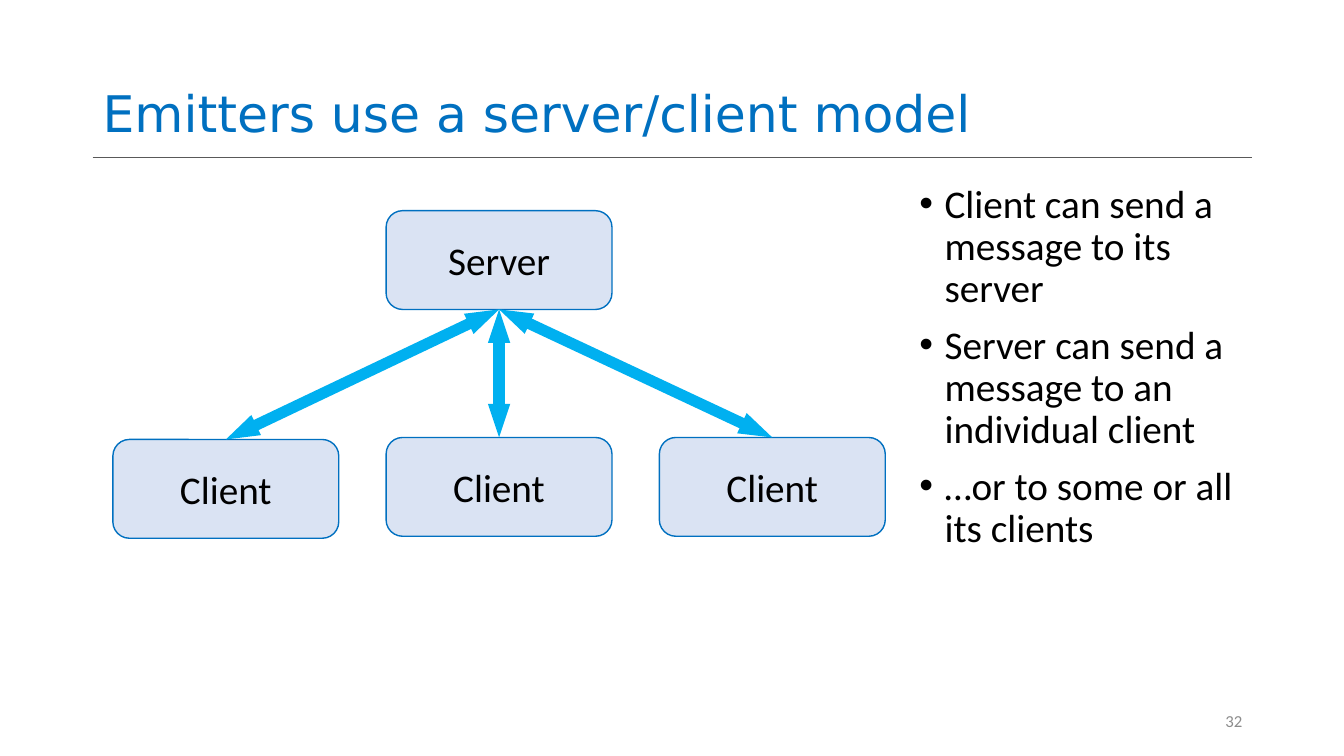
from lxml import etree
from pptx import Presentation
from pptx.dml.color import RGBColor
from pptx.enum.shapes import MSO_CONNECTOR, MSO_SHAPE
from pptx.enum.text import MSO_ANCHOR, PP_ALIGN
from pptx.oxml.ns import qn
from pptx.util import Inches, Pt

STRAIGHT = MSO_CONNECTOR.STRAIGHT
ROUNDED = MSO_SHAPE.ROUNDED_RECTANGLE
TOP, MIDDLE, BOTTOM = MSO_ANCHOR.TOP, MSO_ANCHOR.MIDDLE, MSO_ANCHOR.BOTTOM
LEFT, CENTER, RIGHT = PP_ALIGN.LEFT, PP_ALIGN.CENTER, PP_ALIGN.RIGHT

BLACK = RGBColor(0x00, 0x00, 0x00)
BLUE = RGBColor(0x00, 0x70, 0xC0)
SKY = RGBColor(0x00, 0xB0, 0xF0)
PALE = RGBColor(0xDA, 0xE3, 0xF3)
GRAY = RGBColor(0x8C, 0x8C, 0x8C)
RULE = RGBColor(0x59, 0x59, 0x59)

BOX_W, BOX_H = 2.24, 0.98


class Deck:
    """Holds the style and the current slide, and draws each kind of element."""

    font = "Calibri"
    size = 28

    def __init__(self, slide):
        self.s = slide

    def run(self, p, text, size=None, color=BLACK, font=None):
        r = p.add_run()
        r.text = text
        r.font.size = Pt(size or self.size)
        r.font.name = font or self.font
        r.font.color.rgb = color

    def text(self, box, lines, anchor=TOP, align=LEFT, spacing=None,
             bullet=False, **style):
        sp = self.s.shapes.add_textbox(*map(Inches, box))
        tf = sp.text_frame
        tf.word_wrap = True
        tf.vertical_anchor = anchor
        for i, line in enumerate(lines):
            p = tf.add_paragraph() if i else tf.paragraphs[0]
            p.alignment = align
            p.line_spacing = spacing
            if bullet:
                self.bullet(p)
            self.run(p, line, **style)

    def bullet(self, p):
        p.space_before = Pt(10)
        pPr = p._p.get_or_add_pPr()
        pPr.set("marL", str(Inches(0.25)))
        pPr.set("indent", str(Inches(-0.25)))
        etree.SubElement(pPr, qn("a:buFont")).set("typeface", "Arial")
        etree.SubElement(pPr, qn("a:buChar")).set("char", "•")

    def node(self, x, y, label):
        sp = self.s.shapes.add_shape(
            ROUNDED, *map(Inches, (x, y, BOX_W, BOX_H)))
        sp.shadow.inherit = False
        sp.fill.solid()
        sp.fill.fore_color.rgb = PALE
        sp.line.color.rgb = BLUE
        sp.line.width = Pt(1)
        tf = sp.text_frame
        tf.vertical_anchor = MIDDLE
        p = tf.paragraphs[0]
        p.alignment = CENTER
        self.run(p, label)

    def line(self, start, end, color, width, arrows=False):
        c = self.s.shapes.add_connector(
            STRAIGHT, *map(Inches, (*start, *end)))
        c.line.color.rgb = color
        c.line.width = Pt(width)
        spPr = c._element.spPr
        if arrows:
            ln = spPr.find(qn("a:ln"))
            for tag in ("a:headEnd", "a:tailEnd"):
                arrow = etree.SubElement(ln, qn(tag))
                arrow.set("type", "triangle")
                arrow.set("w", "sm")
                arrow.set("len", "med")
        etree.SubElement(spPr, qn("a:effectLst"))


prs = Presentation()
prs.slide_width, prs.slide_height = Inches(13.33), Inches(7.5)
deck = Deck(prs.slides.add_slide(prs.slide_layouts[6]))

deck.line((0.92, 1.56), (12.42, 1.56), RULE, 0.5)
deck.text((0.92, 0.02, 11.5, 1.45), ["Emitters use a server/client model"],
          anchor=BOTTOM, spacing=0.9, size=36, color=BLUE, font="DejaVu Sans")
deck.text((9.02, 1.78, 3.4, 4.76),
          ["Client can send a message to its server",
           "Server can send a message to an individual client",
           "…or to some or all its clients"],
          spacing=0.9, bullet=True)
deck.text((9.42, 6.95, 3, 0.4), ["32"], anchor=MIDDLE, align=RIGHT,
          size=12, color=GRAY)

server_x, server_y, pitch = 3.83, 2.09, 2.71
clients = [(server_x + i * pitch, y)
           for i, y in zip((-1, 0, 1), (4.36, 4.34, 4.34))]
deck.node(server_x, server_y, "Server")
for x, y in clients:
    deck.node(x, y, "Client")
for x, y in clients:
    deck.line((server_x + BOX_W / 2, server_y + BOX_H), (x + BOX_W / 2, y),
              SKY, 8, arrows=True)

prs.save("out.pptx")
